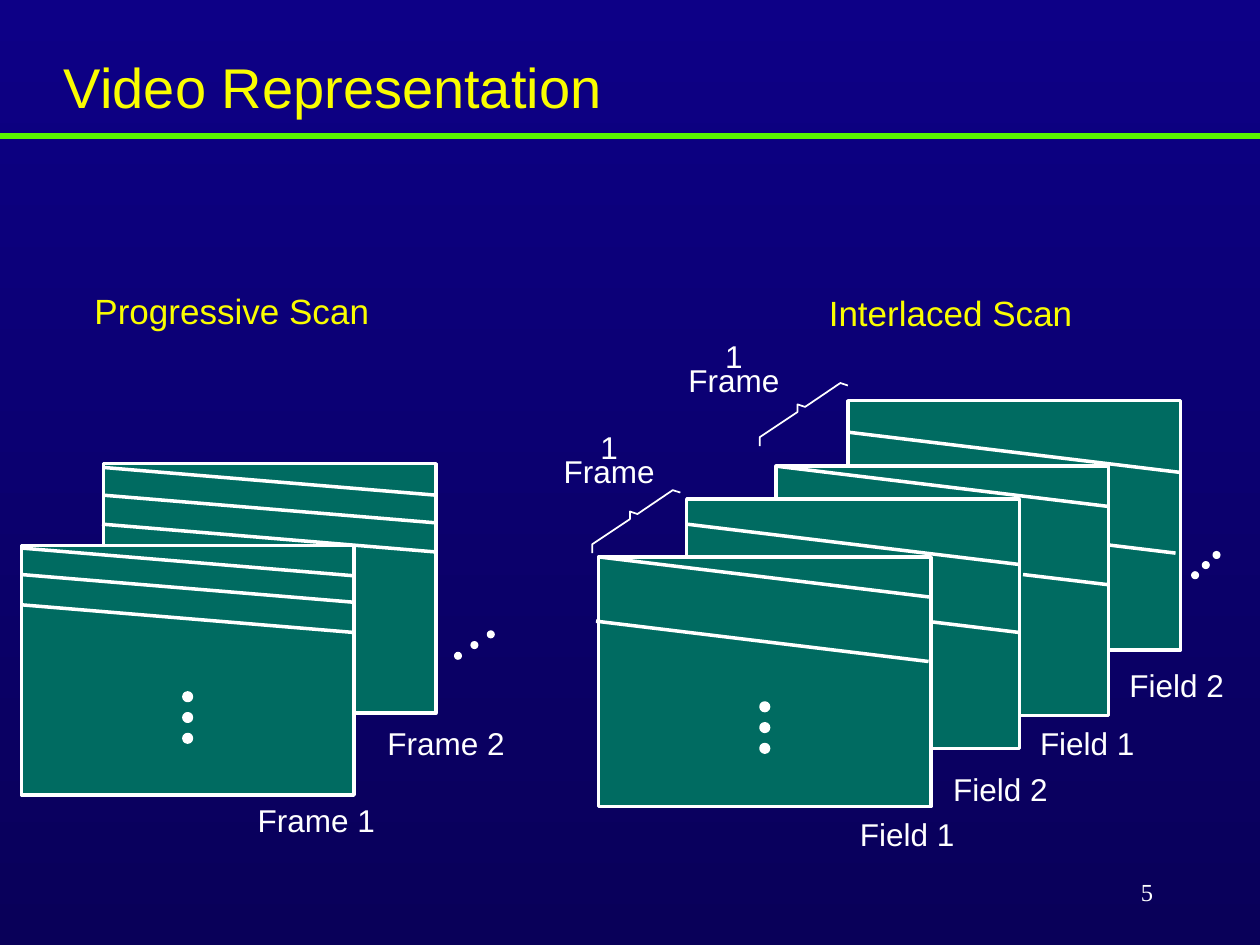
import pptx
import pptx.util
import pptx.dml.color
import pptx.enum.shapes
import pptx.enum.text
import pptx.oxml.ns
import lxml.etree

Inches = pptx.util.Inches
KIND = pptx.enum.shapes.MSO_SHAPE
SIDE = pptx.enum.text.PP_ALIGN
HUES = {"top": "0D0086", "base": "090059", "rule": "5AF400",
        "panel": "006B61", "white": "FFFFFF", "gold": "FAFD00"}
WIDE, TALL = 2.64, 1.98


def hue(name):
    """Return a named colour."""
    return pptx.dml.color.RGBColor.from_string(HUES[name])


def text(slide, box, words, size=18, color="white", font="Arial", side=SIDE.CENTER,
         lead=None, wrap=False, mid=False):
    """Write one paragraph for each line of words in a box."""
    frame = slide.shapes.add_textbox(*map(Inches, box)).text_frame
    frame.word_wrap = wrap
    if mid:
        frame.vertical_anchor = pptx.enum.text.MSO_ANCHOR.MIDDLE
    for i, line in enumerate(words.split("\n")):
        para = frame.add_paragraph() if i else frame.paragraphs[0]
        para.alignment = side
        if lead:
            para.line_spacing = pptx.util.Pt(lead)
        run = para.add_run()
        run.text = line
        run.font.name = font
        run.font.size = pptx.util.Pt(size)
        run.font.color.rgb = hue(color)


def shape(shapes, kind, box, fill, width):
    """Add a flat preset shape with a white outline."""
    item = shapes.add_shape(kind, *map(Inches, box))
    item.shadow.inherit = False
    item.fill.solid()
    item.fill.fore_color.rgb = hue(fill)
    item.line.color.rgb = hue("white")
    item.line.width = pptx.util.Pt(width)


def line(slide, x, y, run, drop, color="white", width=2):
    """Draw a straight line from a point by its run and drop."""
    item = slide.shapes.add_connector(
        pptx.enum.shapes.MSO_CONNECTOR.STRAIGHT,
        *map(Inches, (x, y, x + run, y + drop)))
    item.line.color.rgb = hue(color)
    item.line.width = pptx.util.Pt(width)
    lxml.etree.SubElement(item.element.spPr, pptx.oxml.ns.qn("a:effectLst"))


def panel(slide, x, y, scans, drop):
    """Place a picture panel and its scan lines, each given by its offset."""
    shape(slide.shapes, KIND.RECTANGLE, (x, y, WIDE, TALL), "panel", 2)
    for dx, dy in scans:
        line(slide, x + dx, y + dy, WIDE, drop)


def dots(shapes, x, y, dx, dy, size, width):
    """Place three evenly spaced dots."""
    for i in range(3):
        shape(shapes, KIND.OVAL, (x + i * dx, y + i * dy, size, size), "white", width)


def stack(slide, x, y):
    """Place a grouped column of dots."""
    dots(slide.shapes.add_group_shape().shapes, x, y, 0, 0.165, 0.06, 2)


def brace(slide, x, y):
    """Draw the slanted brace that spans two fields."""
    spots = [(0, 0.5), (0, 0.43), (0.3, 0.23), (0.3, 0.17),
             (0.36, 0.19), (0.64, 0), (0.7, 0.02)]
    spots = [(Inches(x + dx), Inches(y + dy)) for dx, dy in spots]
    build = slide.shapes.build_freeform(*spots[0])
    build.add_line_segments(spots[1:], close=False)
    item = build.convert_to_shape()
    item.shadow.inherit = False
    item.fill.background()
    item.line.color.rgb = hue("white")
    item.line.width = pptx.util.Pt(1)


def head(slide, x, y, w, h):
    """Place the title and the rule below it."""
    line(slide, x, y + h, w, 0, "rule", 3)
    text(slide, (x + 0.41, y + 0.37, 4.5, 0.64), "Video Representation",
         size=32, color="gold", side=SIDE.LEFT)


def whole(slide, x, y):
    """Place the progressive scan with its two frames."""
    text(slide, (x + 0.47, y, 2.4, 0.38), "Progressive Scan",
         size=20, color="gold", lead=20)
    panel(slide, x + 0.65, y + 1.38, [(0, 0.03), (0, 0.25), (-0.01, 0.48)], 0.22)
    panel(slide, x, y + 2.03, [(0, 0.02), (0, 0.23), (0, 0.47)], 0.22)
    stack(slide, x + 1.29, y + 3.2)
    dots(slide.shapes, x + 3.44, y + 2.88, 0.13, -0.085, 0.05, 1)
    for i, (dx, dy) in enumerate([(1.77, 4.01), (2.8, 3.4)], 1):
        text(slide, (x + dx, y + dy, 1.14, 0.4), f"Frame {i}")


def split(slide, x, y):
    """Place the interlaced scan with its four fields."""
    text(slide, (x + 1.72, y, 2.15, 0.38), "Interlaced Scan",
         size=20, color="gold", lead=20)
    panel(slide, x + 1.98, y + 0.86, [(0, 0.25), (-0.04, 0.89)], 0.32)
    panel(slide, x + 1.41, y + 1.38, [(0, 0)], 0.32)
    line(slide, x + 3.37, y + 2.24, 0.67, 0.08)
    panel(slide, x + 0.7, y + 1.64, [(0, 0.2), (0, 0.74)], 0.32)
    panel(slide, x, y + 2.1, [(0, 0), (-0.02, 0.51)], 0.32)
    stack(slide, x + 1.29, y + 3.26)
    dots(slide.shapes, x + 4.71, y + 2.22, 0.085, -0.08, 0.05, 1)
    brace(slide, x - 0.05, y + 1.57)
    brace(slide, x + 1.28, y + 0.72)
    text(slide, (x - 0.38, y + 1.13, 0.93, 0.5), "1\nFrame", lead=14)
    text(slide, (x + 0.5, y + 0.41, 1.15, 0.5), "1\nFrame", lead=14, wrap=True)
    tags = [(1.97, 4.1), (2.71, 3.74), (3.4, 3.38), (4.11, 2.92)]
    for i, (dx, dy) in enumerate(tags):
        text(slide, (x + dx, y + dy, 0.96, 0.4), f"Field {i % 2 + 1}")


def foot(slide, x, y, w, h):
    """Place the slide number."""
    text(slide, (x, y, w, h), "5", size=14, font="Times New Roman",
         side=SIDE.RIGHT, mid=True)


def main():
    """Build and save the slide."""
    deck = pptx.Presentation()
    deck.slide_width, deck.slide_height = Inches(10), Inches(7.5)
    slide = deck.slides.add_slide(deck.slide_layouts[6])
    fill = slide.background.fill
    fill.gradient()
    fill.gradient_angle = 270
    for stop, name in zip(fill.gradient_stops, ("top", "base")):
        stop.color.rgb = hue(name)
    head(slide, 0, 0, 10, 1.08)
    whole(slide, 0.17, 2.3)
    split(slide, 4.75, 2.32)
    foot(slide, 7.17, 6.83, 2.08, 0.5)
    deck.save("out.pptx")


if __name__ == "__main__":
    main()
